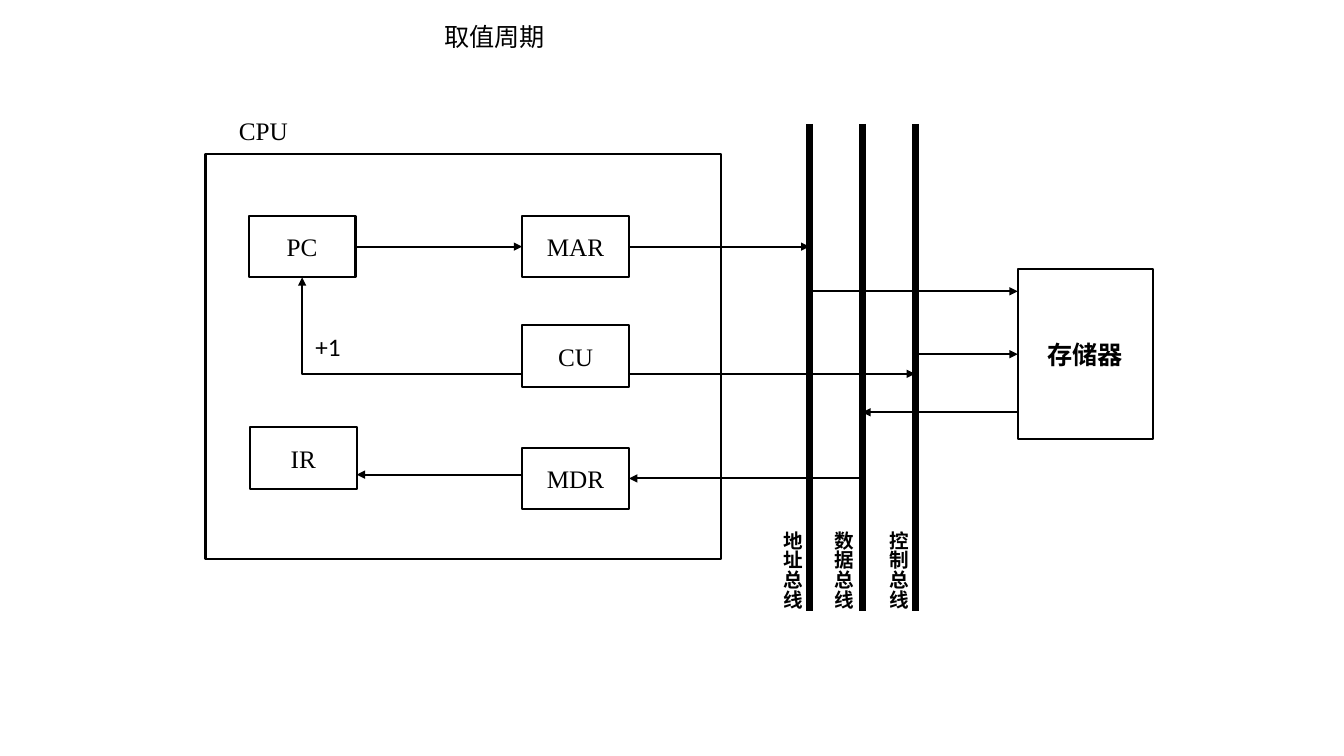
from lxml import etree
from pptx import Presentation
from pptx.dml.color import RGBColor
from pptx.enum.shapes import MSO_CONNECTOR, MSO_SHAPE
from pptx.enum.text import MSO_ANCHOR, PP_ALIGN
from pptx.oxml.ns import qn
from pptx.util import Cm, Pt

RECTANGLE = MSO_SHAPE.RECTANGLE
STRAIGHT, ELBOW = MSO_CONNECTOR.STRAIGHT, MSO_CONNECTOR.ELBOW
CENTER, MIDDLE = PP_ALIGN.CENTER, MSO_ANCHOR.MIDDLE
BOTTOM, LEFT, RIGHT = 2, 1, 3

COLORS = {"ink": "000000"}
SERIF, SANS = "Times New Roman", "Calibri"

# Content, lengths in cm
CPU_FRAME = (5.18, 3.89, 13.0, 10.19)
REGISTER_SIZE = (2.69, 1.55)
REGISTERS = {  # name: left, top
    "PC": (6.27, 5.44),
    "IR": (6.3, 10.77),
    "MAR": (13.16, 5.44),
    "CU": (13.16, 8.2),
    "MDR": (13.16, 11.28),
}
MEMORY = ("存储器", (25.65, 6.78, 3.4, 4.29))
CAPTIONS = [  # text, font, left, top, width, height
    ("取值周期", SANS, 10.95, 0.41, 3.07, 1.02),
    ("CPU", SERIF, 5.77, 2.77, 1.75, 1.02),
    ("+1", SANS, 7.7, 8.23, 1.17, 1.02),
]
BUSES = [("地址总线", 19.28), ("数据总线", 20.57), ("控制总线", 21.95)]  # label, label left
BUS_LEFT, BUS_STEP, BUS_TOP, BUS_BOTTOM = 20.4, 1.33, 3.12, 15.39
BUS_LABEL_TOP, BUS_LABEL_SIZE = 13.13, (1.12, 2.26)

presentation = Presentation()
presentation.slide_width, presentation.slide_height = Cm(33.87), Cm(19.05)
slide = presentation.slides.add_slide(presentation.slide_layouts[6])
shapes = slide.shapes


def ink(name="ink"):
    return RGBColor.from_string(COLORS[name])


def write(holder, text, font, size=18, bold=False):
    frame = holder.text_frame
    frame.text = text
    frame.word_wrap = False
    style = frame.paragraphs[0].runs[0].font
    style.name, style.size, style.bold = font, Pt(size), bold
    style.color.rgb = ink()
    return frame


def add_box(place, text="", font=SERIF, bold=False):
    box = shapes.add_shape(RECTANGLE, *map(Cm, place))
    box.shadow.inherit = False
    box.fill.background()
    box.line.color.rgb = ink()
    box.line.width = Pt(1.5)
    if text:
        frame = write(box, text, font, bold=bold)
        frame.vertical_anchor = MIDDLE
        frame.paragraphs[0].alignment = CENTER
    return box


def add_line(start, end, width=1.5, arrow=True, kind=STRAIGHT):
    line = shapes.add_connector(kind, *map(Cm, start + end))
    line.line.color.rgb = ink()
    line.line.width = Pt(width)
    if arrow:
        etree.SubElement(line.line._get_or_add_ln(), qn("a:tailEnd"), type="triangle")
    etree.SubElement(line._element.spPr, qn("a:effectLst"))
    return line


# CPU, its registers and the memory
add_box(CPU_FRAME)
registers = {name: add_box(corner + REGISTER_SIZE, name) for name, corner in REGISTERS.items()}
memory = add_box(MEMORY[1], MEMORY[0], SANS, bold=True)

# Captions
for text, font, *place in CAPTIONS:
    write(shapes.add_textbox(*map(Cm, place)), text, font)

# Buses with vertical labels
bus_xs = [BUS_LEFT + i * BUS_STEP for i in range(len(BUSES))]
for bus_x, (label, label_left) in zip(bus_xs, BUSES):
    add_line((bus_x, BUS_TOP), (bus_x, BUS_BOTTOM), width=5, arrow=False)
    place = (label_left, BUS_LABEL_TOP) + BUS_LABEL_SIZE
    frame = write(shapes.add_textbox(*map(Cm, place)), label, SANS, 14, bold=True)
    frame._txBody.bodyPr.set("vert", "eaVert")

# Signals between the parts
address_x, data_x, control_x = bus_xs
register_width, register_height = REGISTER_SIZE
pc_x, pc_top = REGISTERS["PC"]
ir_right = REGISTERS["IR"][0] + register_width
column_left = REGISTERS["MAR"][0]
column_right = column_left + register_width
memory_left = MEMORY[1][0]
pc_y = pc_top + register_height / 2
mdr_y = REGISTERS["MDR"][1] + register_height / 2
memory_y = MEMORY[1][1] + MEMORY[1][3] / 2
control_y = 9.42

pc_to_mar = add_line((pc_x + register_width, pc_y), (column_left, pc_y))
pc_to_mar.begin_connect(registers["PC"], RIGHT)
pc_to_mar.end_connect(registers["MAR"], LEFT)
mar_to_address = add_line((column_right, pc_y), (address_x, pc_y))
mar_to_address.begin_connect(registers["MAR"], RIGHT)
add_line((address_x, 7.34), (memory_left, 7.34))
add_line((column_right, control_y), (control_x, control_y))
control_to_memory = add_line((control_x, memory_y), (memory_left, memory_y))
control_to_memory.end_connect(memory, LEFT)
add_line((memory_left, 10.39), (data_x, 10.39))
data_to_mdr = add_line((data_x, mdr_y), (column_right, mdr_y))
data_to_mdr.end_connect(registers["MDR"], RIGHT)
add_line((column_left, 11.96), (ir_right, 11.96))

# Increment of PC: one bend, left then up
increment = add_line((column_left, control_y), (pc_x + register_width / 2, pc_top + register_height),
                     kind=ELBOW)
increment._element.spPr.find(qn("a:prstGeom")).set("prst", "bentConnector2")
increment.end_connect(registers["PC"], BOTTOM)

presentation.save("out.pptx")
